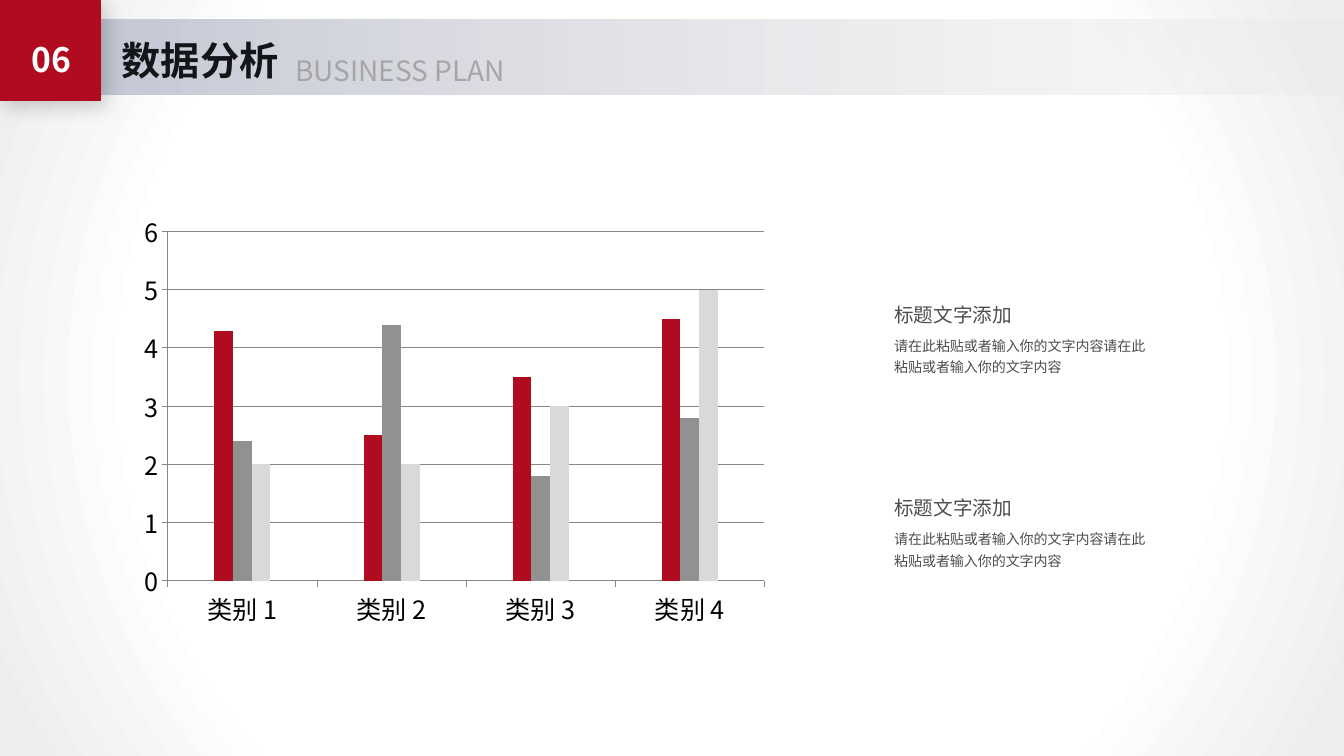
from dataclasses import dataclass

from pptx import Presentation, util as u
from pptx.chart.data import CategoryChartData
from pptx.dml.color import RGBColor
from pptx.enum import chart as ch, shapes as sh, text as tx
from pptx.oxml import parse_xml
from pptx.oxml.ns import nsdecls, qn


@dataclass(frozen=True)
class Theme:
    face: str = "Noto Sans CJK SC"
    red: str = "B10B1F"
    gray: str = "919191"
    pale: str = "D9D9D9"
    grid: str = "868686"
    black: str = "000000"
    white: str = "FFFFFF"
    ink: str = "141519"
    body: str = "4F4D50"
    soft: str = "A6A6A6"
    title: int = 28
    badge: int = 24
    sub: int = 20
    axis: int = 18
    head: int = 14
    note: int = 10


@dataclass(frozen=True)
class Label:
    words: str
    box: tuple[float, float, float, float]
    size: int
    color: str
    bold: bool = False
    wrap: bool = False
    center: bool = False
    lead: float = 1.0


@dataclass(frozen=True)
class Stop:
    pos: int
    color: str
    alpha: int = 100


T = Theme()


def rgb(color: str) -> RGBColor:
    return RGBColor.from_string(color)


def style(font, size: int, color: str, bold: bool = False) -> None:
    font.size, font.bold, font.name = u.Pt(size), bold, T.face
    font.color.rgb = rgb(color)
    east = parse_xml(f'<a:ea {nsdecls("a")} typeface="{T.face}"/>')
    font._rPr.find(qn("a:latin")).addnext(east)


def label(slide, item: Label) -> None:
    frame = slide.shapes.add_textbox(*map(u.Inches, item.box)).text_frame
    frame.word_wrap = item.wrap
    para = frame.paragraphs[0]
    para.text = item.words
    para.line_spacing = item.lead
    para.alignment = tx.PP_ALIGN.CENTER if item.center else tx.PP_ALIGN.LEFT
    style(para.font, item.size, item.color, item.bold)


def band(slide, box: tuple[float, float, float, float],
         stops: list[Stop], shade: str) -> None:
    """Draw a rectangle with a gradient fill."""
    rect = slide.shapes.add_shape(sh.MSO_SHAPE.RECTANGLE, *map(u.Inches, box))
    rect.shadow.inherit = False
    rect.line.fill.background()
    rect.fill.background()
    marks = "".join(
        f'<a:gs pos="{s.pos * 1000}"><a:srgbClr val="{s.color}">'
        f'<a:alpha val="{s.alpha * 1000}"/></a:srgbClr></a:gs>' for s in stops)
    grad = parse_xml(f'<a:gradFill {nsdecls("a")} rotWithShape="1">'
                     f'<a:gsLst>{marks}</a:gsLst>{shade}</a:gradFill>')
    props = rect._element.spPr
    props.replace(props.find(qn("a:noFill")), grad)


def curve(ends: list[tuple[float, float]], steps: int = 24) -> list[tuple[float, float]]:
    """Sample one cubic curve, leaving out its start."""
    out = []
    for k in range(1, steps + 1):
        t = k / steps
        rates = ((1 - t) ** 3, 3 * t * (1 - t) ** 2, 3 * t * t * (1 - t), t ** 3)
        out.append((sum(r * p[0] for r, p in zip(rates, ends)),
                    sum(r * p[1] for r, p in zip(rates, ends))))
    return out


def badge(slide) -> None:
    knots = [(0.19, 0.94), (0.06, 0.79), (0.22, 0.2), (0.41, 0.15), (0.6, 0.1),
             (1, 0.54), (0.98, 0.73), (0.97, 0.91), (0.33, 1.09), (0.19, 0.94)]
    dots = [dot for k in (0, 3, 6) for dot in curve(knots[k:k + 4])]
    pen = slide.shapes.build_freeform(*knots[0], scale=u.Inches(1))
    pen.add_line_segments(dots, close=True)
    blob = pen.convert_to_shape()
    blob.fill.solid()
    blob.fill.fore_color.rgb = rgb(T.red)
    blob.line.fill.background()
    blob.shadow.inherit = False
    blob._element.spPr.find(qn("a:effectLst")).append(parse_xml(
        f'<a:outerShdw {nsdecls("a")} blurRad="{u.Pt(15)}" dist="{u.Pt(5)}" '
        f'dir="{45 * 60000}"><a:srgbClr val="{T.black}"><a:alpha val="20000"/>'
        '</a:srgbClr></a:outerShdw>'))


def graph(slide) -> None:
    data = CategoryChartData()
    data.categories = [f"类别 {n}" for n in range(1, 5)]
    rows = [(4.3, 2.5, 3.5, 4.5), (2.4, 4.4, 1.8, 2.8), (2, 2, 3, 5)]
    for n, row in enumerate(rows, 1):
        data.add_series(f"Series {n}", row)
    box = map(u.Inches, (1.3, 2.03, 6.41, 4.28))
    chart = slide.shapes.add_chart(
        ch.XL_CHART_TYPE.COLUMN_CLUSTERED, *box, data).chart
    chart.has_legend = chart.has_title = False
    style(chart.font, T.axis, T.black)
    plot = chart.plots[0]
    plot.gap_width, plot.overlap, plot.vary_by_categories = 498, 0, False
    for bars, color in zip(plot.series, (T.red, T.gray, T.pale)):
        bars.format.fill.solid()
        bars.format.fill.fore_color.rgb = rgb(color)
    scale = chart.value_axis
    scale.minimum_scale, scale.maximum_scale, scale.major_unit = 0, 6, 1
    scale.has_major_gridlines = True
    for axis in (scale, chart.category_axis):
        axis.major_tick_mark = ch.XL_TICK_MARK.OUTSIDE
        axis.minor_tick_mark = ch.XL_TICK_MARK.NONE
    for part in (scale, chart.category_axis, scale.major_gridlines):
        part.format.line.color.rgb = rgb(T.grid)
        part.format.line.width = u.Pt(0.75)


def main() -> None:
    deck = Presentation()
    deck.slide_width, deck.slide_height = u.Inches(13.33), u.Inches(7.5)
    slide = deck.slides.add_slide(deck.slide_layouts[6])

    # Backdrop
    band(slide, (0, 0, 13.33, 7.5),
         [Stop(0, "FFFFFE"), Stop(69, "FFFFFE"), Stop(97, "EDEDED")],
         '<a:path path="circle"><a:fillToRect l="50000" t="50000" '
         'r="50000" b="50000"/></a:path>')

    # Chart and its notes
    graph(slide)
    for top in (2.89, 4.81):
        label(slide, Label("标题文字添加", (8.77, top, 2.2, 0.37),
                           T.head, T.body, wrap=True, lead=1.28))
        label(slide, Label("请在此粘贴或者输入你的文字内容请在此粘贴或者输入你的文字内容",
                           (8.77, top + 0.36, 2.76, 0.62),
                           T.note, T.body, wrap=True, lead=1.28))

    # Header
    band(slide, (0.36, 0.19, 12.97, 0.75),
         [Stop(0, "C3C5D4"), Stop(100, "E7E5E6", 20)], '<a:lin ang="0"/>')
    label(slide, Label("BUSINESS PLAN", (2.83, 0.48, 2.37, 0.44), T.sub, T.soft))
    label(slide, Label("数据分析", (1.11, 0.31, 1.78, 0.57),
                       T.title, T.ink, bold=True))
    badge(slide)
    label(slide, Label("06", (0.2, 0.34, 0.62, 0.5), T.badge, T.white,
                       bold=True, center=True))

    deck.save("out.pptx")


if __name__ == "__main__":
    main()
